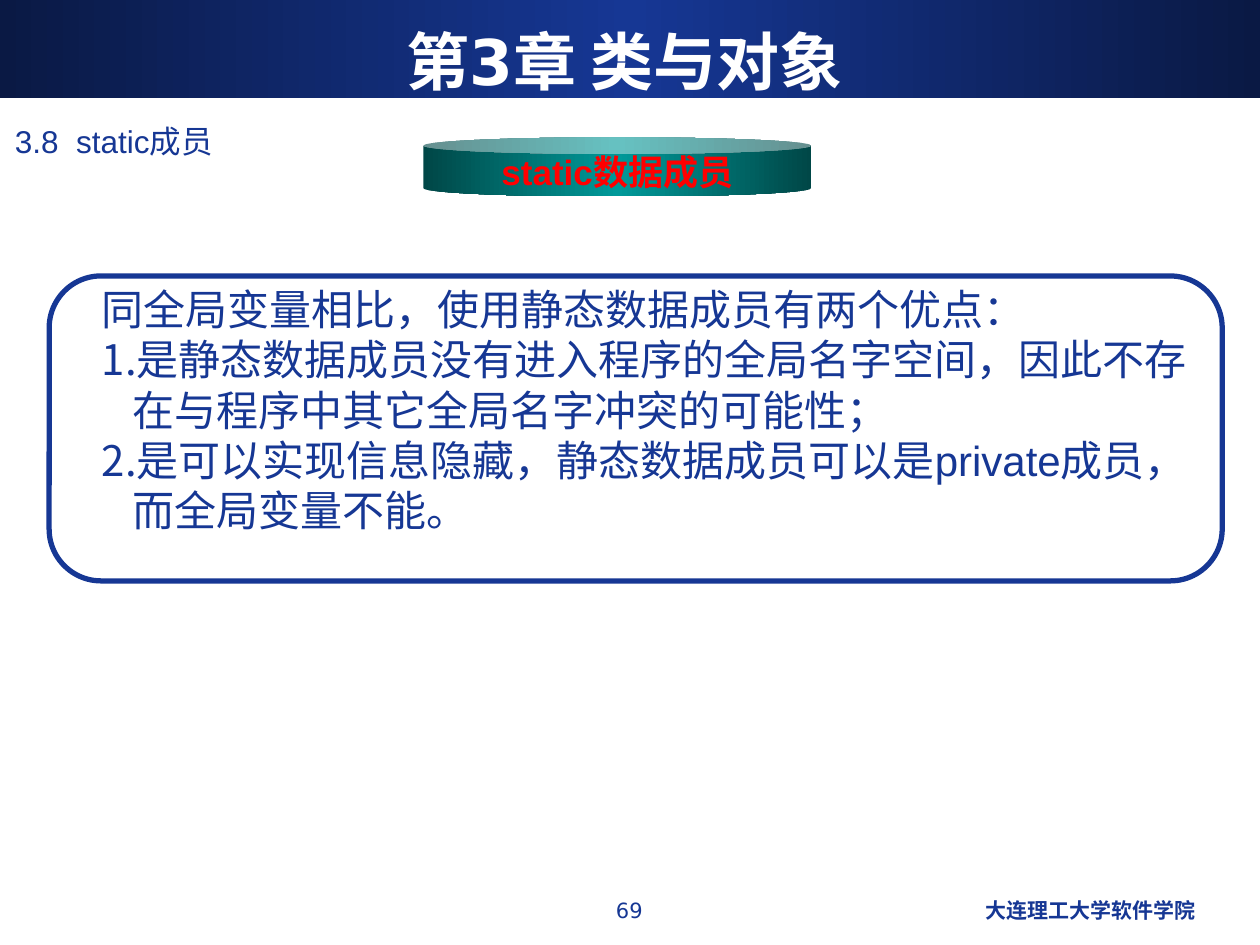
"""Build the lecture slide on the advantages of static data members."""
from dataclasses import dataclass

from lxml.etree import SubElement
from pptx import Presentation
from pptx.dml.color import RGBColor
from pptx.enum.shapes import MSO_SHAPE as Shape
from pptx.enum.text import MSO_ANCHOR as Anchor, MSO_AUTO_SIZE as Fit, PP_ALIGN as Align
from pptx.oxml.ns import qn
from pptx.util import Inches, Pt


@dataclass(frozen=True)
class Theme:
    navy: str = "163794"
    navy_dark: str = "0A1944"
    teal: str = "009999"
    teal_dark: str = "004747"
    red: str = "FF0000"
    white: str = "FFFFFF"
    body_font: str = "Arial"
    heading_font: str = "DejaVu Sans"
    title: int = 36
    body: int = 24
    topic: int = 20
    section: int = 18
    footer: int = 12


THEME = Theme()
WIDTH, HEIGHT = 10, 7.5
CHAPTER = "第3章 类与对象"
TOPIC = "static数据成员"
LEAD = "同全局变量相比，使用静态数据成员有两个优点："
ADVANTAGES = [
    "是静态数据成员没有进入程序的全局名字空间，因此不存在与程序中其它全局名字冲突的可能性；",
    "是可以实现信息隐藏，静态数据成员可以是private成员，而全局变量不能。",
]
FOOTER_TOP, FOOTER_HEIGHT = 7.07, 0.35
HANGING = Inches(0.24)

FOOTER_STYLE = {"name": THEME.heading_font, "size": THEME.footer}
LABELS = [
    ("69", (3.83, FOOTER_TOP, 2.33, FOOTER_HEIGHT), Align.CENTER, FOOTER_STYLE),
    ("大连理工大学软件学院", (6.42, FOOTER_TOP, 3.17, FOOTER_HEIGHT), Align.RIGHT,
     {**FOOTER_STYLE, "bold": True}),
    ("3.8  static成员", (0.02, 0.92, 9.25, 0.33), Align.LEFT, {"size": THEME.section}),
]


def place(box):
    return [Inches(length) for length in box]


def style(paragraph, color=THEME.navy, **values):
    values = {"name": THEME.body_font, "bold": False, **values}
    values["size"] = Pt(values["size"])
    for key, value in values.items():
        setattr(paragraph.font, key, value)
    paragraph.font.color.rgb = RGBColor.from_string(color)


def write(paragraph, text, align=Align.LEFT, **values):
    paragraph.text = text
    paragraph.alignment = align
    style(paragraph, **values)


def add_plain_shape(slide, kind, box):
    shape = slide.shapes.add_shape(kind, *place(box))
    shape.shadow.inherit = False
    return shape


def shade(shape, edge, middle):
    shape.line.fill.background()
    shape.fill.gradient()
    shape.fill.gradient_angle = 0
    stops = shape._element.spPr.find(qn("a:gradFill")).find(qn("a:gsLst"))
    for stop in list(stops):
        stops.remove(stop)
    for position, color in ((0, edge), (50000, middle), (100000, edge)):
        stop = SubElement(stops, qn("a:gs"), pos=str(position))
        SubElement(stop, qn("a:srgbClr"), val=color)


def number(paragraph):
    properties = paragraph._p.get_or_add_pPr()
    properties.set("marL", str(HANGING))
    properties.set("indent", str(-HANGING))
    color = SubElement(properties, qn("a:buClr"))
    SubElement(color, qn("a:srgbClr"), val=THEME.navy)
    SubElement(properties, qn("a:buAutoNum"), type="arabicPeriod")


def add_heading(slide):
    band = add_plain_shape(slide, Shape.RECTANGLE, (0, 0, WIDTH, 0.78))
    shade(band, THEME.navy_dark, THEME.navy)
    title = slide.shapes.title
    title._element.addprevious(band._element)
    title.left, title.top, title.width, title.height = place((0.33, 0.17, 9.25, 0.62))
    frame = title.text_frame
    settings = {"margin_left": 0, "margin_right": 0, "margin_top": 0, "margin_bottom": 0,
                "vertical_anchor": Anchor.MIDDLE, "auto_size": Fit.NONE}
    for key, value in settings.items():
        setattr(frame, key, value)
    write(frame.paragraphs[0], CHAPTER, Align.CENTER, color=THEME.white,
          name=THEME.heading_font, size=THEME.title, bold=True)


def add_labels(slide):
    for text, box, align, values in LABELS:
        frame = slide.shapes.add_textbox(*place(box)).text_frame
        frame.word_wrap = True
        write(frame.paragraphs[0], text, align, **values)


def add_advantages(slide):
    border = add_plain_shape(slide, Shape.ROUNDED_RECTANGLE, (0.39, 2.19, 9.31, 2.42))
    border.adjustments[0] = 0.17
    border.fill.background()
    border.line.color.rgb = RGBColor.from_string(THEME.navy)
    border.line.width = Pt(3)
    frame = slide.shapes.add_textbox(*place((0.71, 2.2, 9.05, 2.5))).text_frame
    frame.word_wrap = True
    write(frame.paragraphs[0], LEAD, size=THEME.body)
    for advantage in ADVANTAGES:
        paragraph = frame.add_paragraph()
        number(paragraph)
        write(paragraph, advantage, size=THEME.body)


def add_topic(slide):
    drum = add_plain_shape(slide, Shape.CAN, (3.36, 1.09, 3.08, 0.47))
    drum.adjustments[0] = 0.28
    shade(drum, THEME.teal_dark, THEME.teal)
    frame = drum.text_frame
    frame.word_wrap = False
    frame.vertical_anchor = Anchor.MIDDLE
    write(frame.paragraphs[0], TOPIC, Align.CENTER, color=THEME.red, size=THEME.topic, bold=True)


def main():
    deck = Presentation()
    deck.slide_width, deck.slide_height = place((WIDTH, HEIGHT))
    slide = deck.slides.add_slide(deck.slide_layouts[5])
    for add_part in (add_heading, add_labels, add_advantages, add_topic):
        add_part(slide)
    deck.save("out.pptx")


if __name__ == "__main__":
    main()
